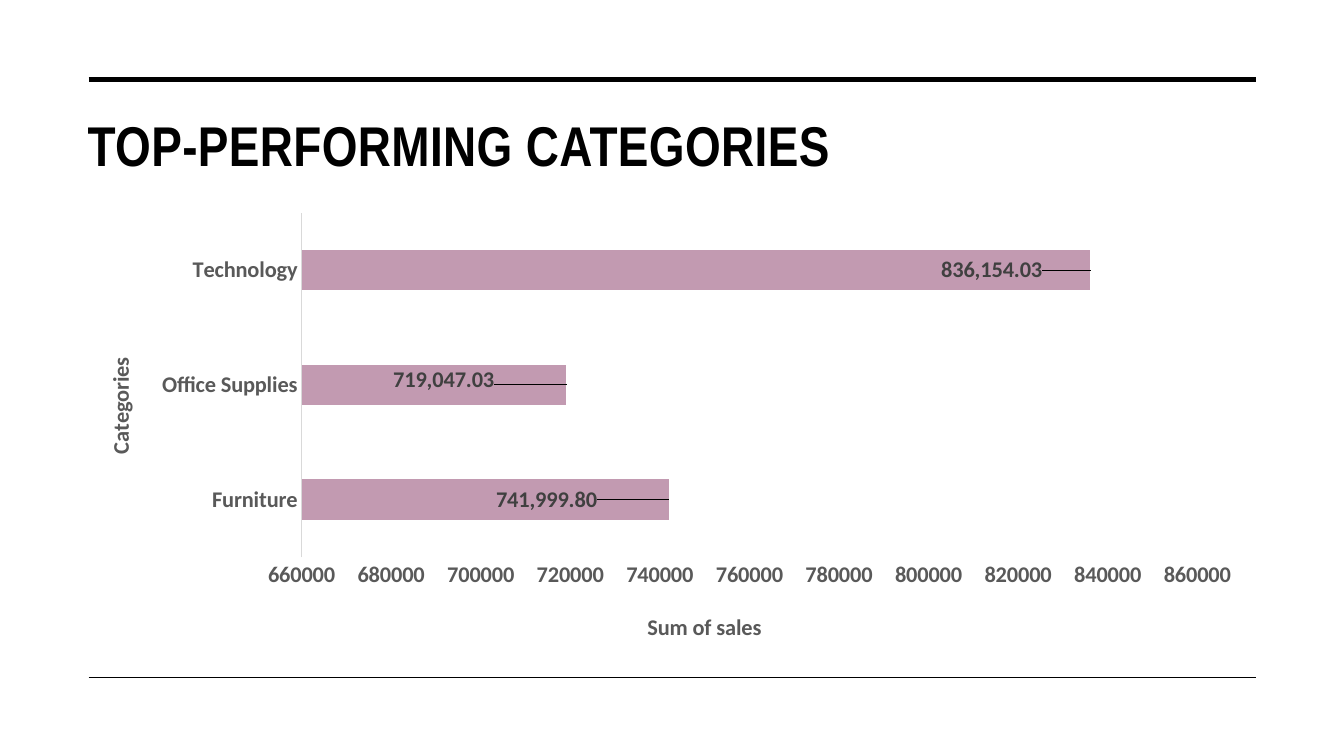
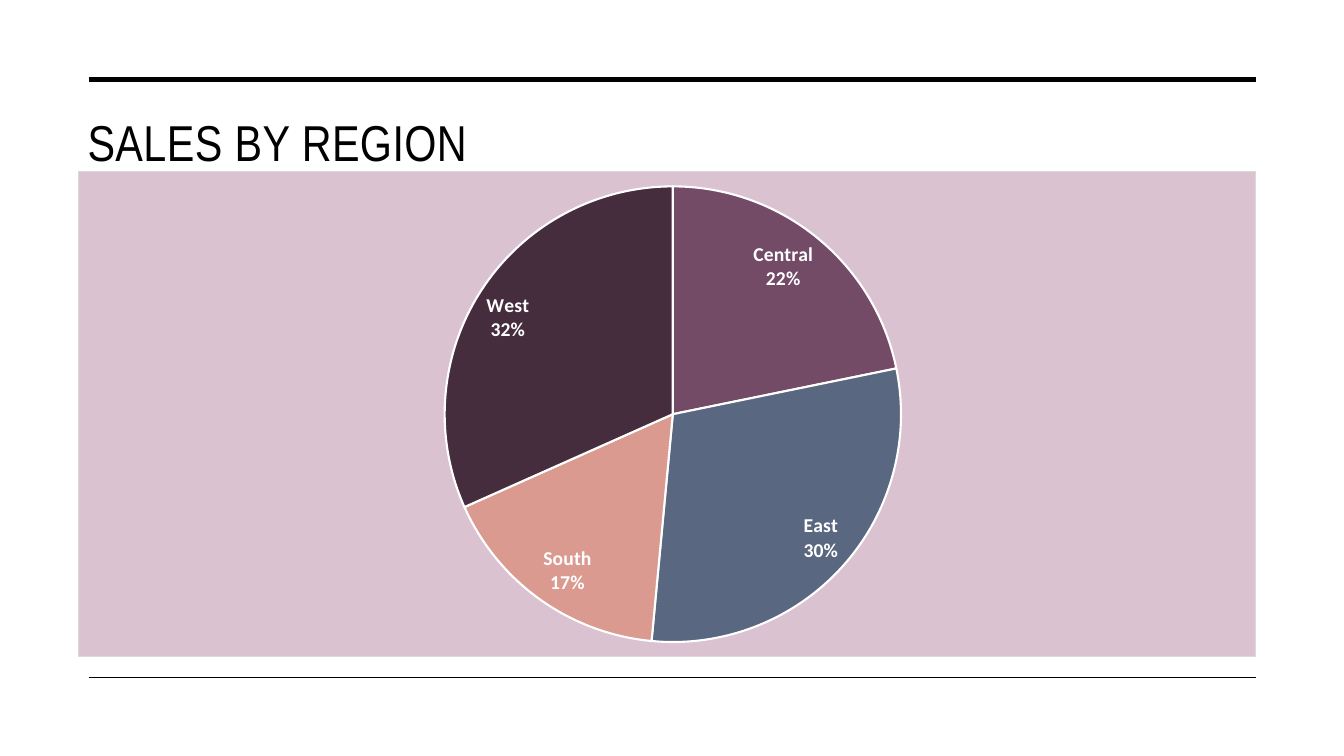
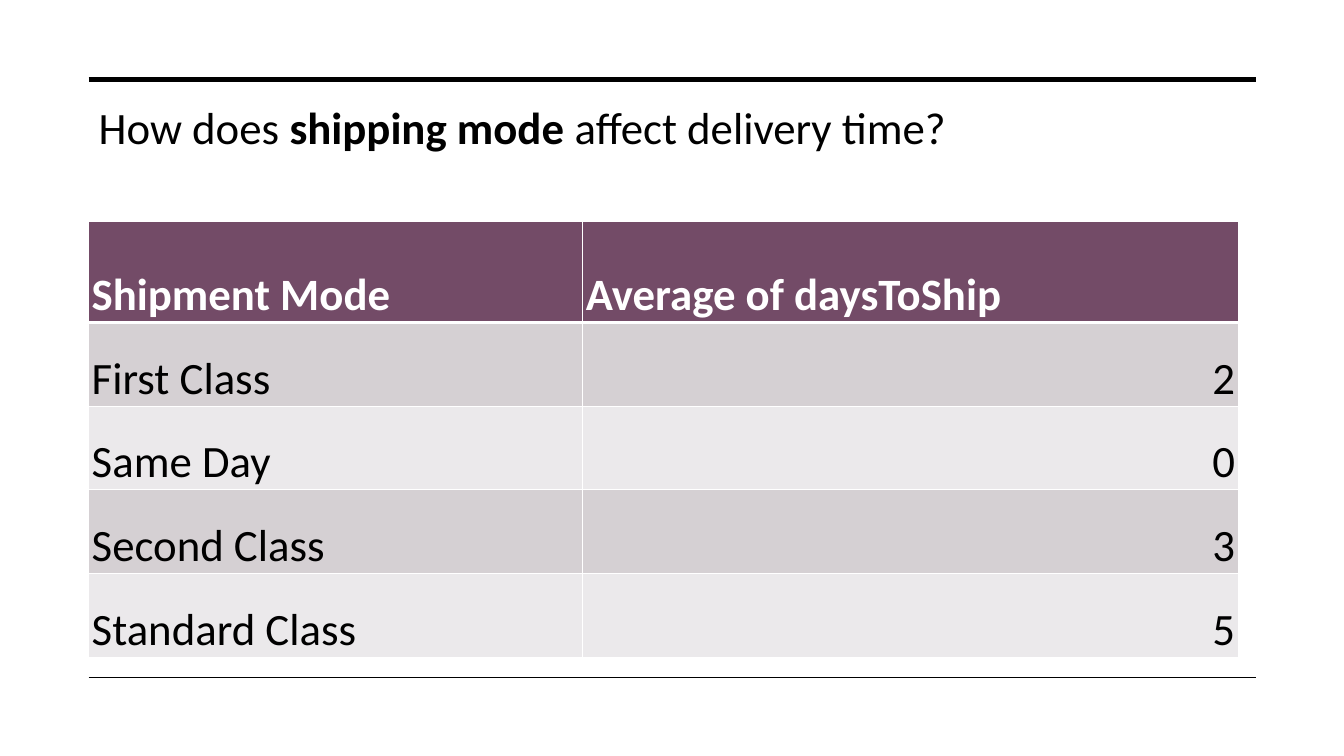
from pptx import Presentation
from pptx import util as u
from pptx.chart.data import CategoryChartData
from pptx.dml.color import RGBColor
from pptx.enum import chart as ch, shapes, text
from pptx.oxml import parse_xml
from pptx.oxml.ns import nsdecls, qn
from pptx.oxml.xmlchemy import OxmlElement

BLACK = RGBColor(0, 0, 0)
WHITE = RGBColor(255, 255, 255)
GREY = RGBColor(0x59, 0x59, 0x59)
DARK = RGBColor(0x40, 0x40, 0x40)
PALE = RGBColor(0xD9, 0xD9, 0xD9)
PLUM = RGBColor(0x73, 0x4B, 0x67)
SLATE = RGBColor(0x59, 0x67, 0x81)
CORAL = RGBColor(0xDB, 0x9A, 0x8F)
WINE = RGBColor(0x45, 0x2D, 0x3E)
MAUVE = RGBColor(0xC2, 0x9A, 0xB1)
ROSE = RGBColor(0xDA, 0xC2, 0xD0)
BAND = RGBColor(0xD5, 0xD0, 0xD3)
LIGHT = RGBColor(0xEB, 0xE9, 0xEB)

LEFT, RIGHT = 0.88, 12.46
EDGE, WIDE = 0.77, 11.69
RULES = {0.79: 3.5, 6.72: 1}
BODY, HEAD = "Calibri", "Arial Narrow"


def style(font, size, color, bold=False, name=BODY):
    values = {"size": u.Pt(size), "bold": bold, "name": name}
    for key, value in values.items():
        setattr(font, key, value)
    font.color.rgb = color


def place(parent, index, **spots):
    """Give a chart part a manual layout, in fractions of the chart."""
    layout = parent.find(qn("c:layout"))
    if layout is None:
        layout = OxmlElement("c:layout")
        parent.insert(index, layout)
    manual = OxmlElement("c:manualLayout")
    layout.append(manual)
    for tag, value in spots.items():
        item = OxmlElement(f"c:{tag}")
        item.set("val", str(value))
        manual.append(item)


def frame(plot, x, y, w, h):
    """Fix the inner plot area of a chart."""
    area = plot.element.xpath("c:chart/c:plotArea")[0]
    place(area, 0, layoutTarget="inner", xMode="edge", yMode="edge",
          x=x, y=y, w=w, h=h)


def edge(cell, **widths):
    """Draw white cell borders, given as L, R, T, B in points."""
    props = cell._tc.get_or_add_tcPr()
    for spot, (side, width) in enumerate(widths.items()):
        props.insert(spot, parse_xml(
            f'<a:ln{side} {nsdecls("a")} w="{u.Pt(width)}"><a:solidFill>'
            f'<a:srgbClr val="{WHITE}"/></a:solidFill></a:ln{side}>'))


class Deck:
    def __init__(self):
        self.show = Presentation()
        self.show.slide_width = u.Inches(13.33)
        self.show.slide_height = u.Inches(7.5)
        self.page = None

    def start(self):
        """Open a slide with its two rules."""
        self.page = self.show.slides.add_slide(self.show.slide_layouts[6])
        for y, width in RULES.items():
            rule = self.page.shapes.add_connector(
                shapes.MSO_CONNECTOR.STRAIGHT, u.Inches(LEFT), u.Inches(y),
                u.Inches(RIGHT), u.Inches(y))
            rule.line.color.rgb = BLACK
            rule.line.width = u.Pt(width)
            rule.element.spPr.append(OxmlElement("a:effectLst"))

    def label(self, box, parts, size, name=BODY):
        """Add one line of text from (words, bold) parts."""
        label = self.page.shapes.add_textbox(*map(u.Inches, box))
        label.text_frame.word_wrap = True
        for words, bold in parts:
            run = label.text_frame.paragraphs[0].add_run()
            run.text = words
            style(run.font, size, BLACK, bold, name)
        return label

    def title(self, words, size, bold=False):
        label = self.label((EDGE, 1.05, WIDE, 0.8), [(words, bold)], size, HEAD)
        for props in label.element.xpath(".//a:rPr"):
            props.set("spc", "30")

    def chart(self, kind, top, height, names, values, form, size, color):
        data = CategoryChartData(number_format=form)
        data.categories = names
        data.add_series("Series 1", values)
        box = map(u.Inches, (EDGE, top, WIDE, height))
        plot = self.page.shapes.add_chart(kind, *box, data).chart
        plot.has_title = plot.has_legend = False
        style(plot.font, size, color, True)
        return plot

    def axis(self, axis, words, x, y, turn=0):
        axis.has_major_gridlines = False
        axis.major_tick_mark = axis.minor_tick_mark = ch.XL_TICK_MARK.NONE
        style(axis.tick_labels.font, 16, GREY, True)
        head = axis.axis_title
        para = head.text_frame.paragraphs[0]
        run = para.add_run()
        run.text = words
        style(run.font, 16, GREY, True)
        for body in head._element.xpath(".//a:bodyPr"):
            body.set("rot", str(turn * 60000))
            body.set("vert", "horz")
        place(head._element, 1, xMode="edge", yMode="edge", x=x, y=y)

    def bars(self, names, values, shifts):
        plot = self.chart(ch.XL_CHART_TYPE.BAR_CLUSTERED, 2.02, 4.5, names,
                          values, "#,##0.00", 16, BLACK)
        frame(plot, 0.19, 0.02, 0.76, 0.76)
        self.axis(plot.category_axis, "Categories", 0.02, 0.33, -90)
        line = plot.category_axis.format.line
        line.color.rgb, line.width = PALE, u.Pt(0.75)
        sales = plot.value_axis
        self.axis(sales, "Sum of sales", 0.48, 0.89)
        sales.format.line.fill.background()
        sales.minimum_scale, sales.maximum_scale = 660000, 860000
        sales.major_unit = 20000
        sales.tick_labels.number_format = "0"
        sales.tick_labels.number_format_is_linked = False
        group = plot.plots[0]
        group.gap_width, group.vary_by_categories = 182, False
        row = group.series[0]
        row.format.fill.solid()
        row.format.fill.fore_color.rgb = MAUVE
        tags = row.data_labels
        tags.show_value = True
        tags.number_format = "#,##0.00"
        tags.number_format_is_linked = False
        style(tags.font, 16, DARK, True)
        for spot in range(len(names)):
            tag = row.points[spot].data_label
            style(tag.font, 16, DARK, True)
            tag.position = ch.XL_LABEL_POSITION.OUTSIDE_END
        for tag, (x, y) in zip(plot.element.xpath(".//c:dLbl"), shifts):
            place(tag, 1, x=x, y=y)

    def pie(self, names, values, colors):
        plot = self.chart(ch.XL_CHART_TYPE.PIE, 1.7, 4.82, names, values,
                          "General", 14, WHITE)
        frame(plot, 0.31, 0.03, 0.39, 0.94)
        plot.element.xpath("c:chart")[0].addnext(parse_xml(
            f'<c:spPr {nsdecls("c", "a")}><a:solidFill><a:srgbClr val="{ROSE}"/>'
            f'</a:solidFill><a:ln w="{u.Pt(0.75)}"><a:solidFill>'
            f'<a:srgbClr val="{PALE}"/></a:solidFill></a:ln></c:spPr>'))
        group = plot.plots[0]
        group.vary_by_categories = True
        for spot, color in enumerate(colors):
            form = group.series[0].points[spot].format
            form.fill.solid()
            form.fill.fore_color.rgb = color
            form.line.color.rgb, form.line.width = WHITE, u.Pt(1.5)
        tags = group.series[0].data_labels
        options = {"show_value": False, "show_category_name": True,
                   "show_percentage": True, "number_format": "0%",
                   "number_format_is_linked": False,
                   "position": ch.XL_LABEL_POSITION.INSIDE_END}
        for key, value in options.items():
            setattr(tags, key, value)
        style(tags.font, 14, WHITE, True)
        mark = OxmlElement("c:separator")
        mark.text = "\n"
        tags._element.xpath("c:showBubbleSize|c:showPercent")[-1].addnext(mark)

    def table(self, rows, widths, heights):
        size = (LEFT, 2.2, sum(widths), sum(heights))
        grid = self.page.shapes.add_table(
            len(rows), len(widths), *map(u.Inches, size)).table
        for col, width in zip(grid.columns, widths):
            col.width = u.Inches(width)
        for i, (row, height) in enumerate(zip(rows, heights)):
            grid.rows[i].height = u.Inches(height)
            for j, words in enumerate(row):
                self.cell(grid.cell(i, j), words, i, j)

    def cell(self, cell, words, i, j):
        cell.margin_left = cell.margin_right = cell.margin_top = u.Inches(0.03)
        cell.margin_bottom = 0
        cell.vertical_anchor = text.MSO_ANCHOR.BOTTOM
        cell.fill.solid()
        cell.fill.fore_color.rgb = (BAND if i % 2 else LIGHT) if i else PLUM
        para = cell.text_frame.paragraphs[0]
        if i and j:
            para.alignment = text.PP_ALIGN.RIGHT
        run = para.add_run()
        run.text = words
        style(run.font, 32, BLACK if i else WHITE, i == 0)
        edge(cell, L=1, R=1, T=3 if i == 1 else 1, B=1 if i else 3)


def main():
    deck = Deck()

    deck.start()
    deck.title("TOP-PERFORMING CATEGORIES", 40, True)
    deck.bars(["Furniture", "Office Supplies", "Technology"],
              [741999.8, 719047.03, 836154.03],
              [(-0.15, 0), (-0.15, -0.01), (-0.13, 0)])

    deck.start()
    deck.title("SALES BY REGION", 36)
    deck.pie(["Central", "East", "South", "West"], [22, 30, 17, 32],
             [PLUM, SLATE, CORAL, WINE])

    deck.start()
    deck.table([("Shipment Mode", "Average of daysToShip"),
                ("First Class", "2"), ("Same Day", "0"),
                ("Second Class", "3"), ("Standard Class", "5")],
               [4.9, 6.5], [1] + [0.83] * 4)
    deck.label((LEFT, 0.94, RIGHT - LEFT, 0.94),
               [("How does ", False), ("shipping mode", True),
                (" affect delivery time?", False)], 32)

    deck.show.save("out.pptx")


if __name__ == "__main__":
    main()
